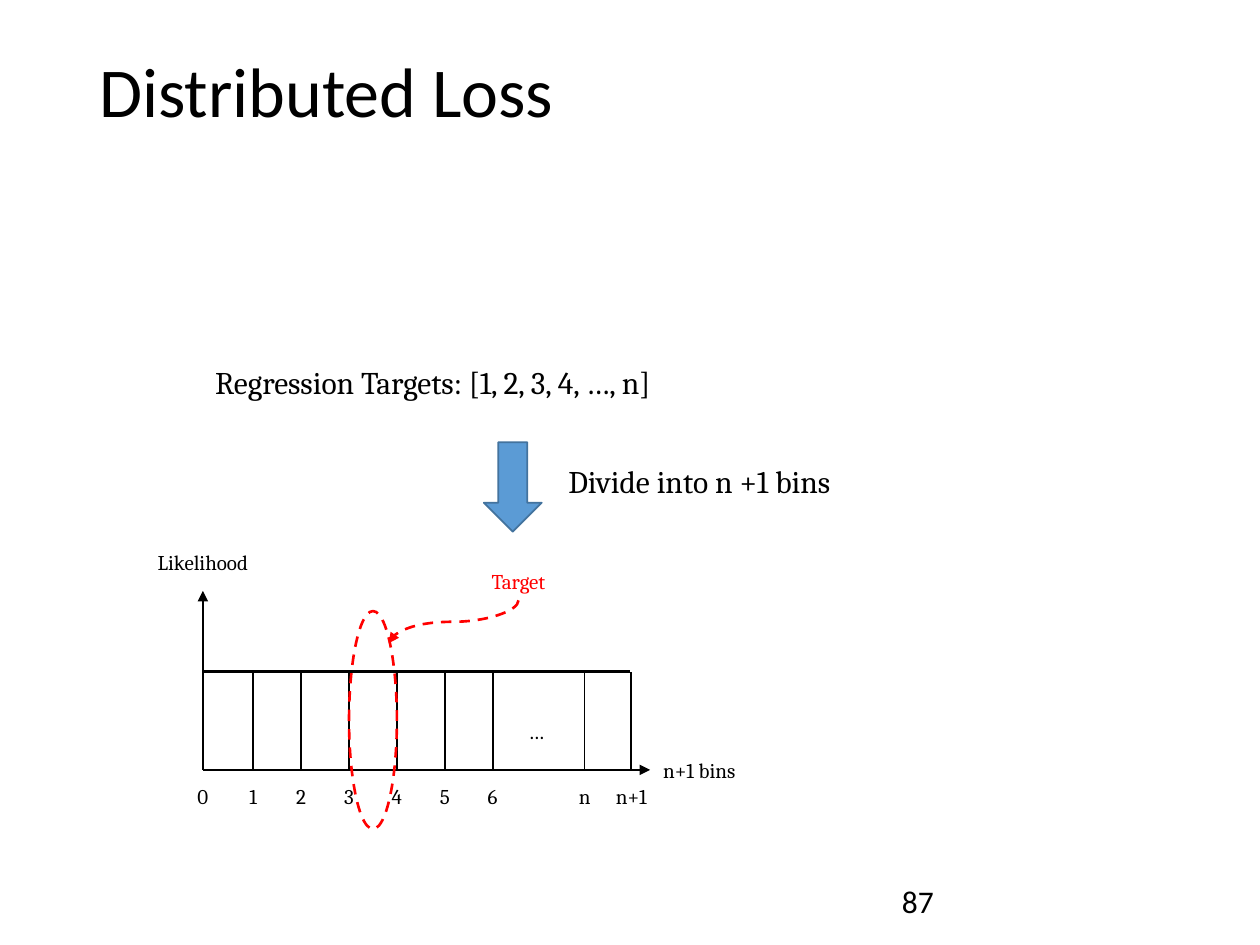
import pptx
import pptx.util
import pptx.dml.color
import pptx.enum.dml
import pptx.enum.shapes
import pptx.enum.text
import pptx.oxml.ns
from lxml import etree

Inches = pptx.util.Inches
Pt = pptx.util.Pt
Shapes = pptx.enum.shapes.MSO_SHAPE
Connectors = pptx.enum.shapes.MSO_CONNECTOR
Align = pptx.enum.text.PP_ALIGN
Anchor = pptx.enum.text.MSO_ANCHOR

COLORS = {"ink": "000000", "target": "FF0000", "arrow": "5B9BD5", "arrow_edge": "43739E"}


class SlideBuilder:
    """Holds the style and the current slide, and adds each kind of element."""

    def __init__(self, slide, font):
        self.slide = slide
        self.font = font

    def color(self, name):
        return pptx.dml.color.RGBColor.from_string(COLORS[name])

    def style_line(self, line, color, width, dashed):
        line.color.rgb = self.color(color)
        line.width = Pt(width)
        if dashed:
            line.dash_style = pptx.enum.dml.MSO_LINE.DASH

    def text(self, text, left, top, width, height, size=12, color="ink", font=None,
             align=Align.CENTER, anchor=Anchor.TOP, spacing=None):
        shape = self.slide.shapes.add_textbox(
            Inches(left), Inches(top), Inches(width), Inches(height))
        text_frame = shape.text_frame
        text_frame.word_wrap = True
        text_frame.vertical_anchor = anchor
        text_frame.text = text
        paragraph = text_frame.paragraphs[0]
        paragraph.alignment = align
        if spacing:
            paragraph.line_spacing = spacing
        run_font = paragraph.runs[0].font
        run_font.name = font or self.font
        run_font.size = Pt(size)
        run_font.color.rgb = self.color(color)

    def shape(self, kind, left, top, width, height, line, line_width, fill=None, dashed=False):
        shape = self.slide.shapes.add_shape(
            kind, Inches(left), Inches(top), Inches(width), Inches(height))
        shape.shadow.inherit = False
        if fill:
            shape.fill.solid()
            shape.fill.fore_color.rgb = self.color(fill)
        else:
            shape.fill.background()
        self.style_line(shape.line, line, line_width, dashed)

    def connector(self, start, end, width=1.5, color="ink", kind=Connectors.STRAIGHT,
                  arrow=False, dashed=False, rotation=0):
        connector = self.slide.shapes.add_connector(
            kind, *(Inches(value) for value in (*start, *end)))
        self.style_line(connector.line, color, width, dashed)
        properties = connector._element.spPr
        qn = pptx.oxml.ns.qn
        if arrow:
            etree.SubElement(properties.find(qn("a:ln")), qn("a:tailEnd"), type="triangle")
        if rotation:
            properties.find(qn("a:xfrm")).set("rot", str(rotation * 60000))
        etree.SubElement(properties, qn("a:effectLst"))


def main():
    presentation = pptx.Presentation()
    presentation.slide_width = Inches(10)
    presentation.slide_height = Inches(7.5)
    slide = presentation.slides.add_slide(presentation.slide_layouts[6])
    builder = SlideBuilder(slide, "Cambria")

    builder.text("Distributed Loss", 0.69, 0.4, 8.62, 1.45, size=40, font="Calibri",
                 align=Align.LEFT, spacing=0.9)

    axis_left, axis_bottom, bins_top = 1.61, 6.11, 5.33
    origin = (axis_left, axis_bottom)
    builder.connector(origin, (axis_left, 4.69), arrow=True)
    builder.connector(origin, (5.16, axis_bottom), arrow=True)
    builder.text("Likelihood", 0.69, 4.31, 1.84, 0.3)
    builder.text("n+1 bins", 4.84, 5.96, 1.42, 0.3)

    bin_width = 0.38
    edges = {"0": axis_left}
    edges.update({str(number): 2.01 + bin_width * (number - 1) for number in range(1, 7)})
    edges.update({"n": 4.64, "n+1": 5.01})
    label_width = 0.61
    for label, x in edges.items():
        if x > axis_left:
            builder.connector((x, axis_bottom), (x, bins_top), width=1)
        builder.text(label, x - label_width / 2, 6.17, label_width, 0.3)
    builder.text("…", 3.83, 5.65, 0.85, 0.3)

    builder.text("Target", 3.29, 4.46, 1.65, 0.3, color="target")
    builder.shape(Shapes.OVAL, edges["3"], 4.85, bin_width, 1.73, "target", 1.5, dashed=True)
    builder.connector((3.43, 4.42), (3.77, 5.45), color="target", kind=Connectors.CURVE,
                      arrow=True, dashed=True, rotation=90)
    builder.connector((axis_left, bins_top), (5, bins_top))

    builder.text("Regression Targets: [1, 2, 3, 4, …, n]", 1.61, 2.68, 4.9, 0.5, size=18,
                 align=Align.LEFT, spacing=1.5)
    builder.shape(Shapes.DOWN_ARROW, 3.84, 3.51, 0.46, 0.71, "arrow_edge", 1, fill="arrow")
    builder.text("Divide into n +1 bins", 3.99, 3.62, 3.12, 0.4, size=18)
    builder.text("87", 7.06, 6.95, 2.25, 0.4, size=18, font="Calibri",
                 align=Align.LEFT, anchor=Anchor.MIDDLE)

    presentation.save("out.pptx")


if __name__ == "__main__":
    main()
